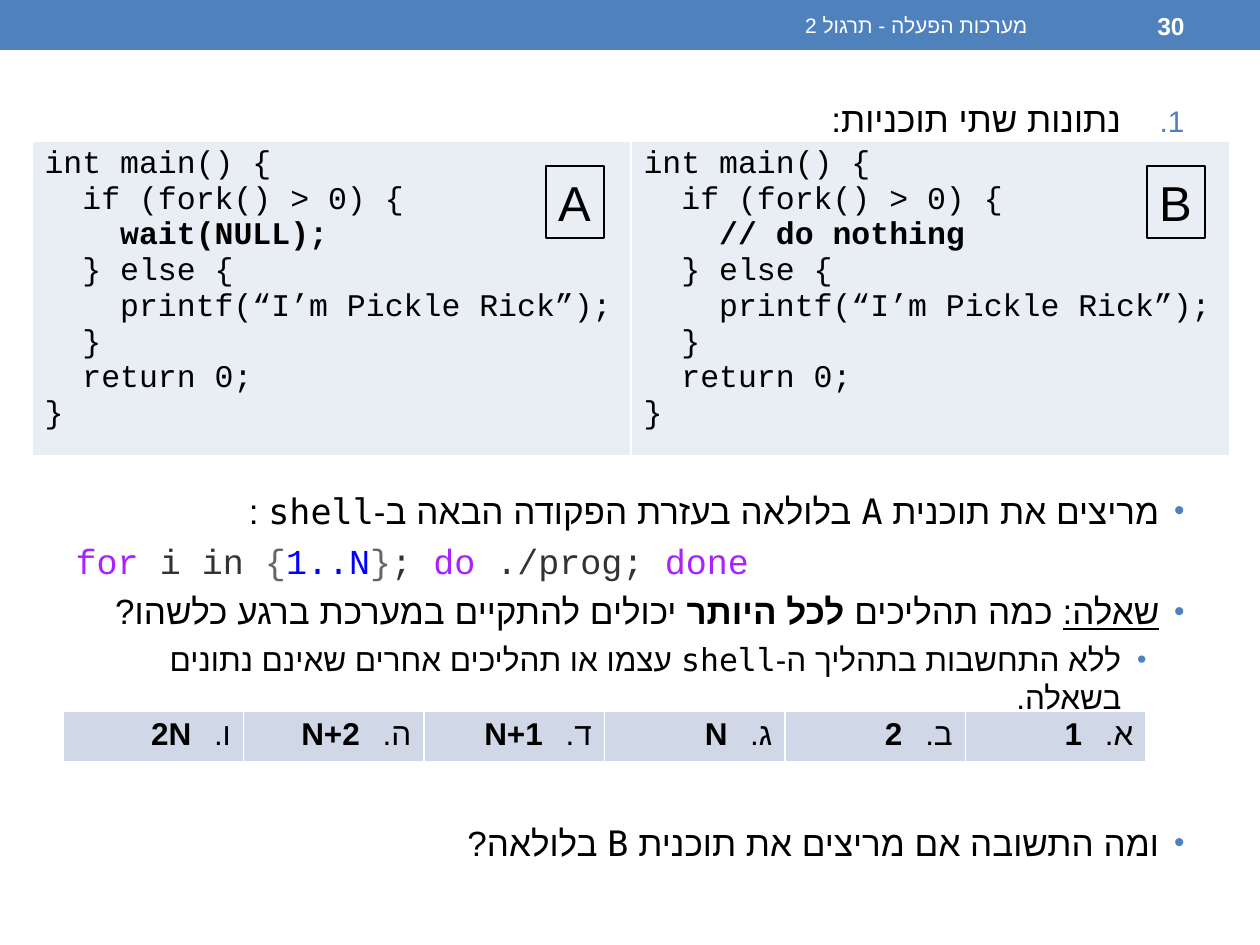
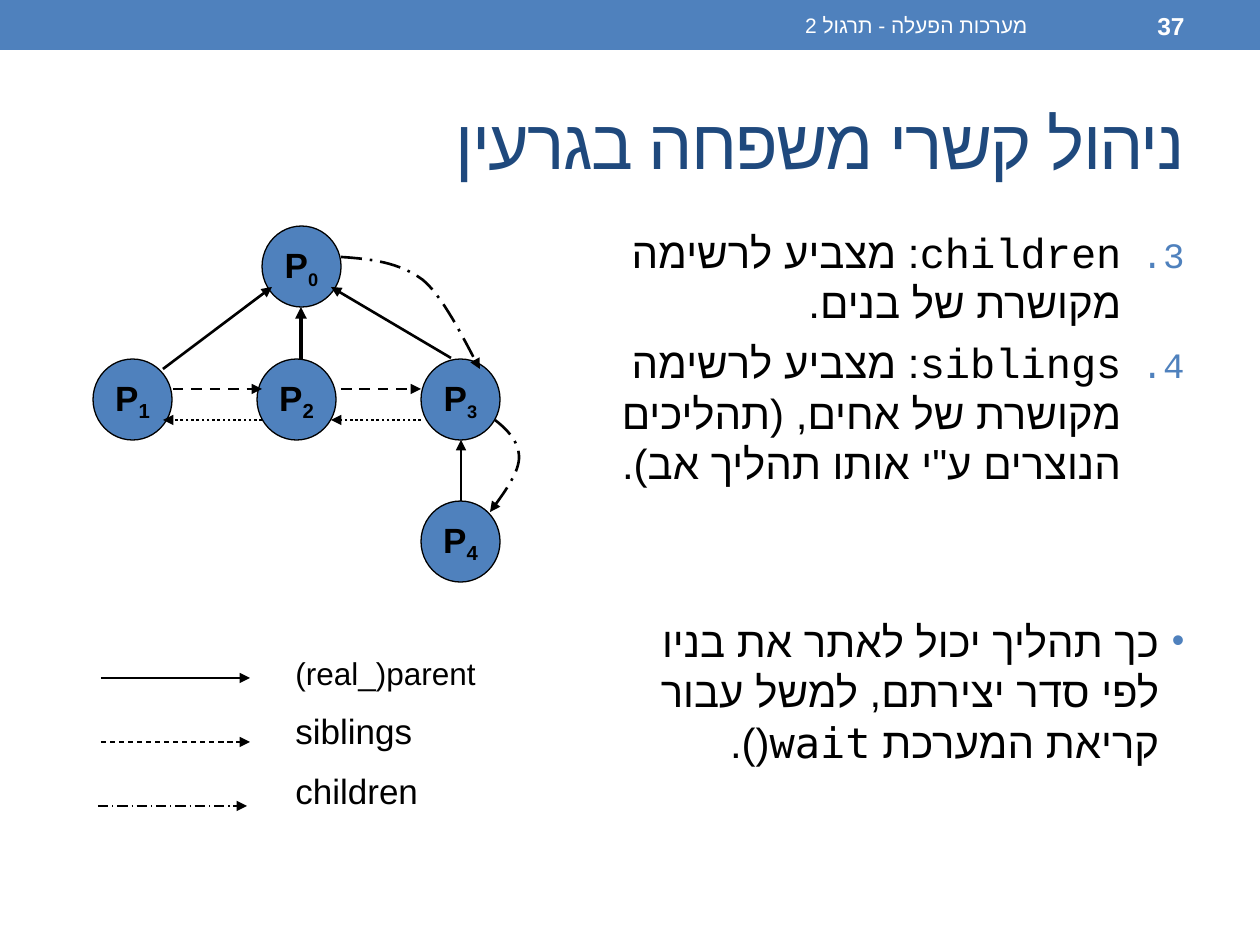
from lxml import etree
from pptx import Presentation
from pptx.dml.color import RGBColor
from pptx.enum.dml import MSO_LINE
from pptx.enum.shapes import MSO_CONNECTOR, MSO_SHAPE
from pptx.enum.text import MSO_ANCHOR, MSO_AUTO_SIZE, PP_ALIGN
from pptx.oxml.ns import qn
from pptx.util import Emu, Pt

RECT, OVAL, STRAIGHT = MSO_SHAPE.RECTANGLE, MSO_SHAPE.OVAL, MSO_CONNECTOR.STRAIGHT
SOLID, DASH = MSO_LINE.SOLID, MSO_LINE.DASH
DOT, DASH_DOT = MSO_LINE.ROUND_DOT, MSO_LINE.LONG_DASH_DOT
TOP, MIDDLE = MSO_ANCHOR.TOP, MSO_ANCHOR.MIDDLE
LEFT, CENTER, RIGHT = PP_ALIGN.LEFT, PP_ALIGN.CENTER, PP_ALIGN.RIGHT
NO_FIT = MSO_AUTO_SIZE.NONE

BLUE = RGBColor(0x4F, 0x81, 0xBD)
NAVY = RGBColor(0x1F, 0x49, 0x7D)
BLACK = RGBColor(0, 0, 0)
WHITE = RGBColor(0xFF, 0xFF, 0xFF)
CODE_FILL = RGBColor(0xE9, 0xED, 0xF4)
ANSWER_FILL = RGBColor(0xD0, 0xD8, 0xE8)
PURPLE = RGBColor(0xAA, 0x22, 0xFF)
DARK_GRAY = RGBColor(0x33, 0x33, 0x33)
GRAY = RGBColor(0x66, 0x66, 0x66)
PURE_BLUE = RGBColor(0, 0, 0xFF)

SANS, MONO, BODY = "Arial", "Courier New", "DejaVu Sans Mono"
HEBREW = {SANS: SANS, MONO: MONO, BODY: SANS}
SCALE = 914400 / 126
FOOTER = "מערכות הפעלה - תרגול 2"

CODE = """int main() {{
  if (fork() > 0) {{
    {}
  }} else {{
    printf(“I’m Pickle Rick”);
  }}
  return 0;
}}"""
PROGRAMS = [("A", "wait(NULL);", 546), ("B", "// do nothing", 1147)]
ANSWERS = [("ו.", "2N"), ("ה.", "N+2"), ("ד.", "N+1"),
           ("ג.", "N"), ("ב.", "2"), ("א.", "1")]

BULLET = dict(bullet="•", margin=25)
SUB_BULLET = dict(bullet="•", margin=63, hang=25, level=1)
SHELL = dict(rtl=False)
QUESTION = [
    (dict(number=1, margin=63), [("נתונות שתי תוכניות:", {})]),
    (dict(BULLET, before=200),
     [("מריצים את תוכנית A בלולאה בעזרת הפקודה הבאה ב-shell :", {})]),
    (SHELL, [(text, dict(font=MONO, color=color)) for text, color in [
        ("for ", PURPLE), ("i in ", DARK_GRAY), ("{", GRAY), ("1..N", PURE_BLUE),
        ("}", GRAY), ("; ", DARK_GRAY), ("do", PURPLE), (" ./prog; ", DARK_GRAY),
        ("done", PURPLE)]]),
    (BULLET, [("שאלה:", dict(underline=True)), (" כמה תהליכים ", {}),
              ("לכל היותר ", dict(bold=True)),
              ("יכולים להתקיים במערכת ברגע כלשהו?", {})]),
    (SUB_BULLET, [("ללא התחשבות בתהליך ה-shell עצמו או תהליכים אחרים שאינם נתונים בשאלה.",
                   dict(size=18))]),
    (dict(BULLET, before=60.5), [("ומה התשובה אם מריצים את תוכנית B בלולאה?", {})]),
]

FAMILY_TITLE = "ניהול קשרי משפחה בגרעין"
FAMILY = [
    (dict(number=3, margin=63),
     [("children", dict(font=MONO)), (": מצביע לרשימה\nמקושרת של בנים.", {})]),
    (dict(number=3, margin=63),
     [("siblings", dict(font=MONO)),
      (": מצביע לרשימה\nמקושרת של אחים, (תהליכים\nהנוצרים ע\"י אותו תהליך אב).", {})]),
    (dict(BULLET, before=72.7),
     [("כך תהליך יכול לאתר את בניו\nלפי סדר יצירתם, למשל עבור\nקריאת המערכת wait().", {})]),
]
PROCESSES = [("0", 262, 226, 18, -25), ("3", 421, 359, 18, -22), ("2", 257, 359, 20, -22),
             ("1", 93, 359, 20, -22), ("4", 421, 501, 20, -22)]
ARROWS = [
    ((451, 358), (331, 287), 1.5, SOLID),
    ((301, 359), (301, 307), 2.25, SOLID),
    ((163, 369), (272, 287), 1.5, SOLID),
    ((461, 501), (461, 440), 1.5, SOLID),
    ((421, 420), (331, 420), 1.5, DOT),
    ((262, 420), (163, 420), 1.5, DOT),
    ((173, 389), (262, 389), 1.5, DASH),
    ((341, 389), (421, 389), 1.5, DASH),
]
CURVES = [
    [(341, 257), (370, 259), (399, 262), (423, 280), (446, 299), (471, 354), (480, 369)],
    [(495, 420), (508, 430), (520, 443), (519, 459), (518, 474), (504, 493), (490, 512)],
]
LEGEND = [("(real_)parent", 18, 101, SOLID), ("siblings", 20, 101, DASH),
          ("children", 20, 98, DASH_DOT)]


def px(*values):
    return [Emu(round(v * SCALE)) for v in values]


def add_text(p, text, size=20, font=BODY, color=BLACK, bold=False,
             underline=False, spacing=0, baseline=0):
    for i, line in enumerate(text.split("\n")):
        if i:
            p.add_line_break()
        r = p.add_run()
        r.text = line
        r.font.size, r.font.bold, r.font.underline = Pt(size), bold, underline
        r.font.name, r.font.color.rgb = font, color
        rPr = r.font._element
        etree.SubElement(rPr, qn("a:ea"), typeface=font)
        etree.SubElement(rPr, qn("a:cs"), typeface=HEBREW[font])
        if spacing:
            rPr.set("spc", str(spacing * 100))
        if baseline:
            rPr.set("baseline", str(baseline * 1000))


def set_rtl(p):
    p.alignment = RIGHT
    p._p.get_or_add_pPr().set("rtl", "1")


def next_paragraph(tf, i):
    return tf.add_paragraph() if i else tf.paragraphs[0]


def format_item(p, before, bullet=None, number=None, margin=0, hang=None, level=0, rtl=True):
    p.level, p.space_before, p.alignment = level, Pt(before), LEFT
    pPr = p._p.get_or_add_pPr()
    pPr.set("rtl", "0")
    if rtl:
        set_rtl(p)
    left, indent = px(margin, -(hang or margin))
    pPr.set("marL", str(left))
    pPr.set("indent", str(indent))
    if not (bullet or number):
        etree.SubElement(pPr, qn("a:buNone"))
        return
    clr = etree.SubElement(pPr, qn("a:buClr"))
    etree.SubElement(clr, qn("a:srgbClr"), val=str(BLUE))
    etree.SubElement(pPr, qn("a:buSzPct"), val="85000")
    if number:
        etree.SubElement(pPr, qn("a:buAutoNum"), type="arabicPeriod", startAt=str(number))
    else:
        etree.SubElement(pPr, qn("a:buChar"), char=bullet)


def place(shape, *box):
    shape.left, shape.top, shape.width, shape.height = px(*box)


def fill_body(s, items, size, before, *box):
    body = s.placeholders[1]
    place(body, *box)
    tf = body.text_frame
    tf.auto_size, tf.vertical_anchor = NO_FIT, TOP
    for i, (layout, runs) in enumerate(items):
        p = next_paragraph(tf, i)
        format_item(p, **{"before": before, **layout})
        for text, fmt in runs:
            add_text(p, text, **{"size": size, **fmt})


def add_box(s, kind, *box, fill=None, line=None, anchor=TOP, wrap=True):
    shape = s.shapes.add_shape(kind, *px(*box))
    shape.shadow.inherit = False
    if fill is None:
        shape.fill.background()
    else:
        shape.fill.solid()
        shape.fill.fore_color.rgb = fill
    if line is None:
        shape.line.fill.background()
    else:
        shape.line.color.rgb, shape.line.width = line, Pt(0.75)
    shape.text_frame.vertical_anchor, shape.text_frame.word_wrap = anchor, wrap
    return shape


def add_textbox(s, *box, anchor=TOP):
    tf = s.shapes.add_textbox(*px(*box)).text_frame
    tf.word_wrap, tf.vertical_anchor = True, anchor
    return tf


def add_table(s, columns, fill, *box):
    table = s.shapes.add_table(1, columns, *px(*box)).table
    table.first_row = table.horz_banding = False
    for cell in table.rows[0].cells:
        cell.fill.solid()
        cell.fill.fore_color.rgb = fill
    return table.rows[0].cells


def style_arrow(line, width, dash):
    line.color.rgb, line.width = BLACK, Pt(width)
    if dash != SOLID:
        line.dash_style = dash
    etree.SubElement(line._get_or_add_ln(), qn("a:tailEnd"), type="triangle")


def add_arrow(s, start, end, width, dash):
    c = s.shapes.add_connector(STRAIGHT, *px(*start, *end))
    style_arrow(c.line, width, dash)
    etree.SubElement(c._element.spPr, qn("a:effectLst"))


def bezier(points, steps=16):
    curve = []
    for i in range(0, len(points) - 1, 3):
        for t in (k / steps for k in range(1, steps + 1)):
            weights = ((1 - t) ** 3, 3 * t * (1 - t) ** 2, 3 * t * t * (1 - t), t ** 3)
            curve.append(tuple(sum(w * pt[axis] for w, pt in zip(weights, points[i:i + 4]))
                               for axis in (0, 1)))
    return curve


def add_curve(s, points):
    emu = [tuple(px(*pt)) for pt in [points[0], *bezier(points)]]
    builder = s.shapes.build_freeform(*emu[0])
    builder.add_line_segments(emu[1:], close=False)
    shape = builder.convert_to_shape()
    shape.shadow.inherit = False
    shape.fill.background()
    style_arrow(shape.line, 1.5, DASH_DOT)


def new_slide(prs, number):
    s = prs.slides.add_slide(prs.slide_layouts[1])
    add_box(s, RECT, 0, 0, 1260, 50, fill=BLUE)
    for text, left, width, size, bold in [(FOOTER, 473, 567, 12, False),
                                          (number, 1050, 147, 14, True)]:
        p = add_textbox(s, left, 3, width, 45, anchor=MIDDLE).paragraphs[0]
        set_rtl(p)
        add_text(p, text, size=size, color=WHITE, bold=bold)
    return s


def question_slide(prs):
    s = new_slide(prs, "30")
    title = s.shapes.title.element
    title.getparent().remove(title)
    fill_body(s, QUESTION, 20, 4.7, 63, 91, 1134, 801)
    cells = add_table(s, 2, CODE_FILL, 32, 141, 1198, 51)
    for cell, (name, step, left) in zip(cells, PROGRAMS):
        for i, line in enumerate(CODE.format(step).split("\n")):
            add_text(next_paragraph(cell.text_frame, i), line, size=18, font=MONO,
                     bold=step in line)
        p = add_box(s, RECT, left, 166, 58, 72, line=BLACK, wrap=False).text_frame.paragraphs[0]
        p.alignment = LEFT
        add_text(p, name, size=28, font=SANS)
    for cell, (label, answer) in zip(add_table(s, 6, ANSWER_FILL, 63, 711, 1083, 50), ANSWERS):
        p = cell.text_frame.paragraphs[0]
        set_rtl(p)
        for text, fmt in [(label, {}), (" ", dict(spacing=8)), (answer, dict(bold=True))]:
            add_text(p, text, size=18, font=SANS, **fmt)


def family_slide(prs):
    s = new_slide(prs, "37")
    title = s.shapes.title
    place(title, 63, 73, 1134, 136)
    title.text_frame.auto_size, title.text_frame.vertical_anchor = NO_FIT, MIDDLE
    p = title.text_frame.paragraphs[0]
    set_rtl(p)
    add_text(p, FAMILY_TITLE, size=40, color=NAVY, spacing=-1)
    fill_body(s, FAMILY, 24, 5.6, 63, 220, 1134, 672)
    for index, left, top, size, baseline in PROCESSES:
        circle = add_box(s, OVAL, left, top, 79, 81, fill=BLUE, line=BLACK,
                         anchor=MIDDLE, wrap=False)
        p = circle.text_frame.paragraphs[0]
        p.alignment = CENTER
        add_text(p, "P", font=SANS, bold=True)
        add_text(p, index, size=size, font=SANS, bold=True, baseline=baseline)
    for arrow in ARROWS:
        add_arrow(s, *arrow)
    for points in CURVES:
        add_curve(s, points)
    tf = add_textbox(s, 283, 648, 237, 183)
    for i, (name, size, left, dash) in enumerate(LEGEND):
        p = next_paragraph(tf, i)
        p.space_before = Pt(10)
        add_text(p, name, size=size, font=SANS)
        y = 678 + 64 * i
        add_arrow(s, (left, y), (left + 149, y), 0.75, dash)


def main():
    prs = Presentation()
    prs.slide_width, prs.slide_height = px(1260, 945)
    question_slide(prs)
    family_slide(prs)
    prs.save("out.pptx")


if __name__ == "__main__":
    main()
